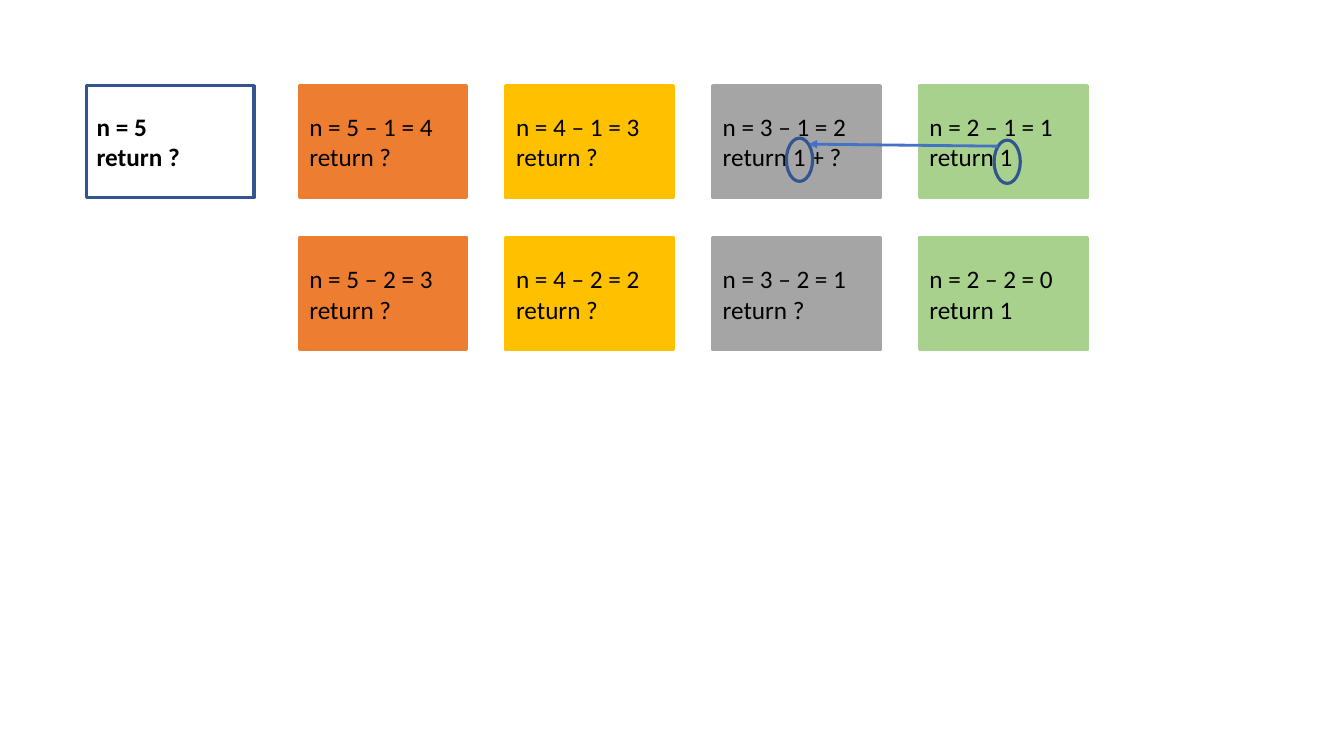
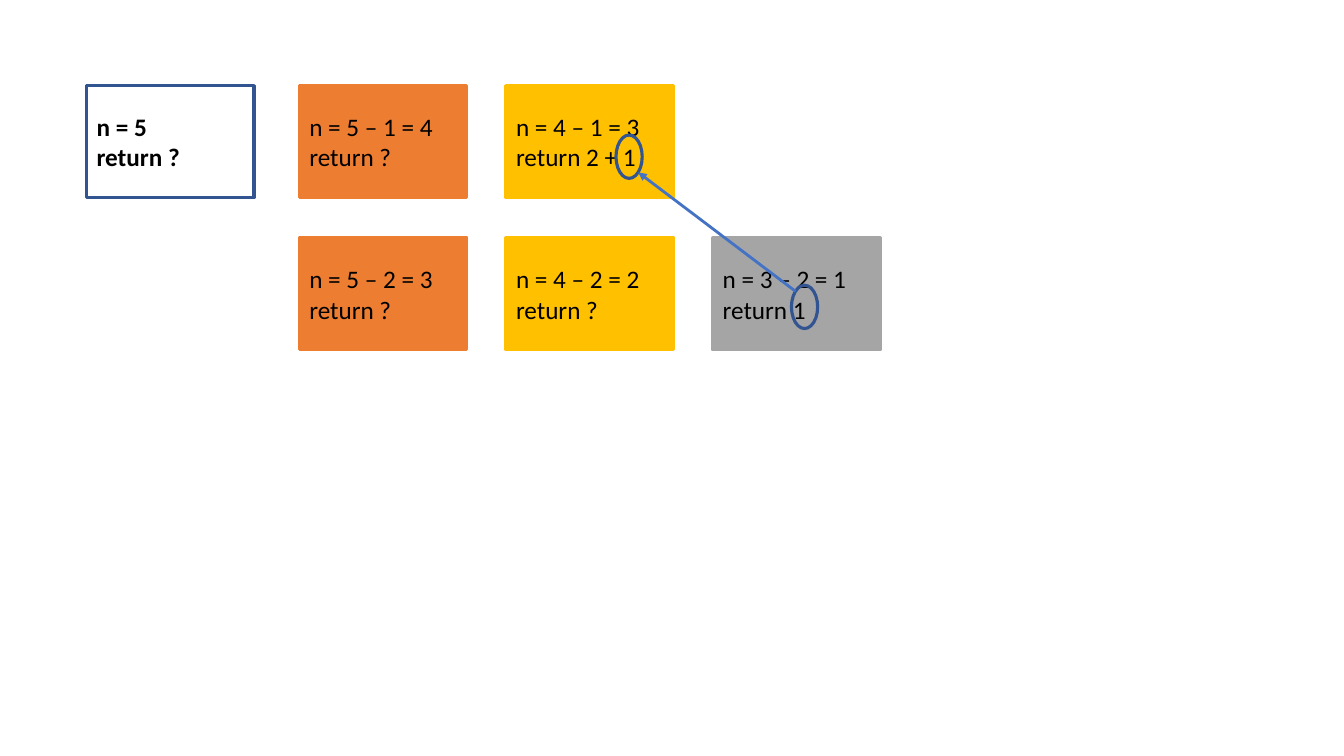
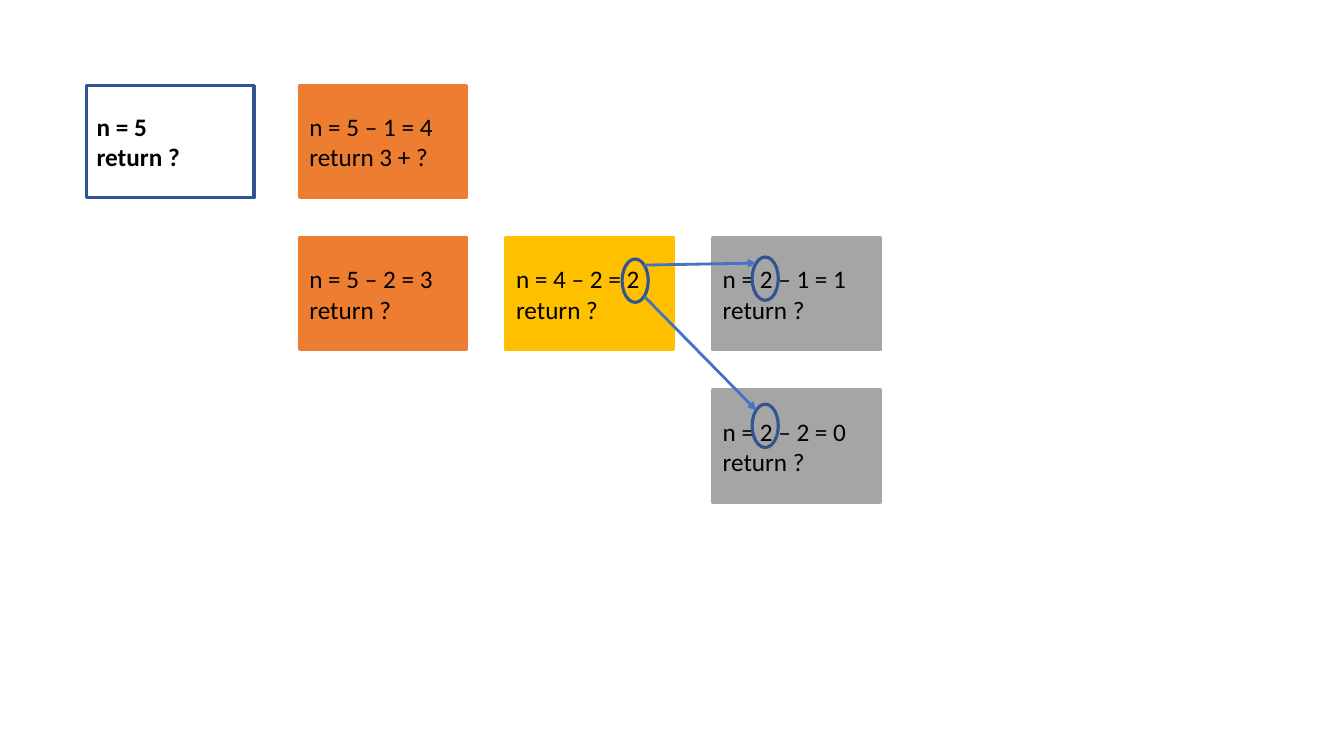
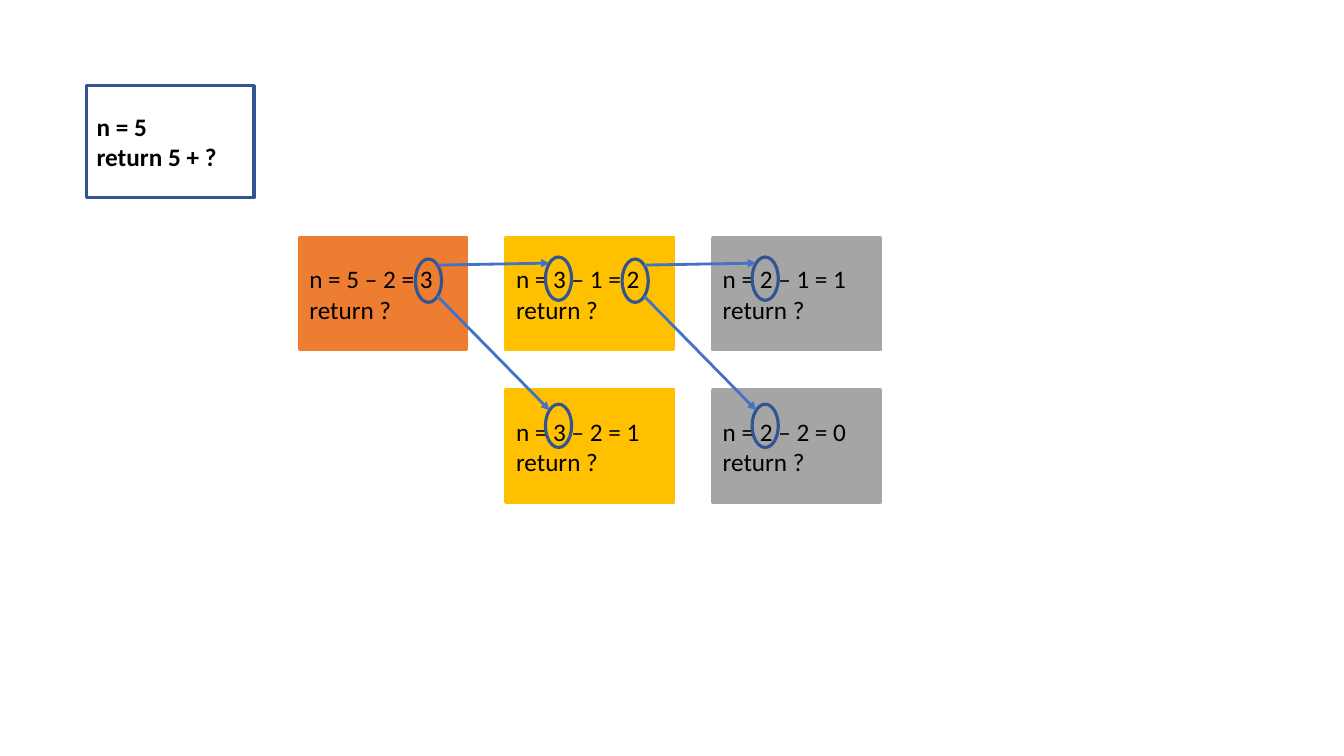
from dataclasses import dataclass
from enum import Enum

from lxml import etree
from pptx import Presentation
from pptx import util as u
from pptx.dml.color import RGBColor
from pptx.enum import shapes, text
from pptx.oxml.ns import qn

PX = 9144  # EMU per px, 100 px to the inch


@dataclass(frozen=True)
class Theme:
    font: str = "Calibri"
    size: float = 18
    ink: str = "000000"
    outline: str = "325491"
    arrow: str = "4472C4"
    # Fill of each recursion level; the first level is only outlined
    levels: tuple = (None, "ED7D31", "FFC000", "A5A5A5", "A9D18E")
    box_line: float = 2.5
    ring_line: float = 2.25
    arrow_line: float = 2


THEME = Theme()

# Grid: the first column stands apart, the others have an equal pitch
SLIDE_W, SLIDE_H = 1333, 750
BOX_W, BOX_H = 166, 111
RING_W, RING_H = 26, 43
ROOT_X, LEVEL_X, TOP = 86, 297, 85
COL_PITCH, ROW_PITCH = 205, 151


def px(n: int) -> u.Emu:
    return u.Emu(n * PX)


def cell(col: int, row: int) -> tuple[int, int]:
    x = LEVEL_X + (col - 1) * COL_PITCH if col else ROOT_X
    return x, TOP + row * ROW_PITCH


class Corner(Enum):
    """Points on a ring's edge, as px from its top left."""
    TOP_LEFT = (4, 6)
    TOP_RIGHT = (22, 6)
    BOTTOM_RIGHT = (22, 37)


@dataclass(frozen=True)
class Call:
    col: int
    row: int
    n: str
    result: str = "?"


@dataclass(frozen=True)
class Ring:
    """Marks one number in the box at col, row."""
    col: int
    row: int
    dx: int
    dy: int

    def origin(self) -> tuple[int, int]:
        x, y = cell(self.col, self.row)
        return x + self.dx, y + self.dy

    def point(self, corner: Corner) -> tuple[int, int]:
        x, y = self.origin()
        return x + corner.value[0], y + corner.value[1]


@dataclass(frozen=True)
class Link:
    start: Ring
    start_corner: Corner
    end: Ring
    end_corner: Corner


@dataclass(frozen=True)
class Step:
    calls: list[Call]
    links: list[Link]


def branch(col: int) -> list[Link]:
    """Hand the value of n in column col to both calls of the next column."""
    value = Ring(col, 1, 115, 21)
    return [
        Link(value, Corner.TOP_RIGHT, Ring(col + 1, 1, 39, 19), Corner.TOP_LEFT),
        Link(value, Corner.BOTTOM_RIGHT, Ring(col + 1, 2, 39, 14), Corner.TOP_LEFT),
    ]


def set_line(line, color: str, width: float) -> None:
    line.color.rgb = RGBColor.from_string(color)
    line.width = u.Pt(width)


def draw_call(s, call: Call) -> None:
    x, y = cell(call.col, call.row)
    sp = s.shapes.add_shape(shapes.MSO_SHAPE.RECTANGLE, px(x), px(y), px(BOX_W), px(BOX_H))
    sp.shadow.inherit = False
    fill = THEME.levels[call.col]
    if fill:
        sp.fill.solid()
        sp.fill.fore_color.rgb = RGBColor.from_string(fill)
    else:
        sp.fill.background()
    set_line(sp.line, fill or THEME.outline, THEME.box_line)
    tf = sp.text_frame
    tf.word_wrap = True
    tf.vertical_anchor = text.MSO_ANCHOR.MIDDLE
    tf.text = f"n = {call.n}\nreturn {call.result}"
    for p in tf.paragraphs:
        p.alignment = text.PP_ALIGN.LEFT
        for r in p.runs:
            r.font.name = THEME.font
            r.font.size = u.Pt(THEME.size)
            r.font.bold = fill is None
            r.font.color.rgb = RGBColor.from_string(THEME.ink)


def draw_ring(s, ring: Ring) -> None:
    x, y = ring.origin()
    sp = s.shapes.add_shape(shapes.MSO_SHAPE.OVAL, px(x), px(y), px(RING_W), px(RING_H))
    sp.shadow.inherit = False
    sp.fill.background()
    set_line(sp.line, THEME.outline, THEME.ring_line)


def draw_link(s, link: Link) -> None:
    x1, y1 = link.start.point(link.start_corner)
    x2, y2 = link.end.point(link.end_corner)
    cx = s.shapes.add_connector(shapes.MSO_CONNECTOR.STRAIGHT, px(x1), px(y1), px(x2), px(y2))
    set_line(cx.line, THEME.arrow, THEME.arrow_line)
    # Arrowhead at the end, no shadow
    sp_pr = cx._element.spPr
    etree.SubElement(sp_pr.find(qn("a:ln")), qn("a:tailEnd"), type="triangle")
    etree.SubElement(sp_pr, qn("a:effectLst"))


def draw_step(prs, step: Step) -> None:
    s = prs.slides.add_slide(prs.slide_layouts[6])
    for call in step.calls:
        draw_call(s, call)
    # A ring shared by two links is drawn once
    for ring in dict.fromkeys(r for link in step.links for r in (link.start, link.end)):
        draw_ring(s, ring)
    for link in step.links:
        draw_link(s, link)


# Calls that stay unchanged over several steps
ROOT = Call(0, 0, "5")
FOUR = Call(1, 0, "5 – 1 = 4")
THREE = Call(1, 1, "5 – 2 = 3")
TWO = Call(2, 1, "4 – 2 = 2")
LAST_PAIR = [Call(3, 1, "2 – 1 = 1"), Call(3, 2, "2 – 2 = 0")]

STEPS = [
    # First base case returns its value
    Step(
        [ROOT, FOUR, THREE, Call(2, 0, "4 – 1 = 3"), TWO,
         Call(3, 0, "3 – 1 = 2", "1 + ?"), Call(3, 1, "3 – 2 = 1"),
         Call(4, 0, "2 – 1 = 1", "1"), Call(4, 1, "2 – 2 = 0", "1")],
        [Link(Ring(4, 0, 74, 54), Corner.TOP_LEFT, Ring(3, 0, 73, 52), Corner.TOP_RIGHT)],
    ),
    # Second summand of n = 3
    Step(
        [ROOT, FOUR, THREE, Call(2, 0, "4 – 1 = 3", "2 + 1"), TWO,
         Call(3, 1, "3 – 2 = 1", "1")],
        [Link(Ring(3, 1, 78, 47), Corner.TOP_LEFT, Ring(2, 0, 109, 49), Corner.BOTTOM_RIGHT)],
    ),
    # Second summand of n = 4 branches
    Step(
        [ROOT, Call(1, 0, "5 – 1 = 4", "3 + ?"), THREE, TWO, *LAST_PAIR],
        branch(2),
    ),
    # Second summand of n = 5 branches twice
    Step(
        [Call(0, 0, "5", "5 + ?"), THREE, Call(2, 1, "3 – 1 = 2"),
         Call(2, 2, "3 – 2 = 1"), *LAST_PAIR],
        branch(1) + branch(2),
    ),
]


def main() -> None:
    prs = Presentation()
    prs.slide_width, prs.slide_height = px(SLIDE_W), px(SLIDE_H)
    for step in STEPS:
        draw_step(prs, step)
    prs.save("out.pptx")


if __name__ == "__main__":
    main()
